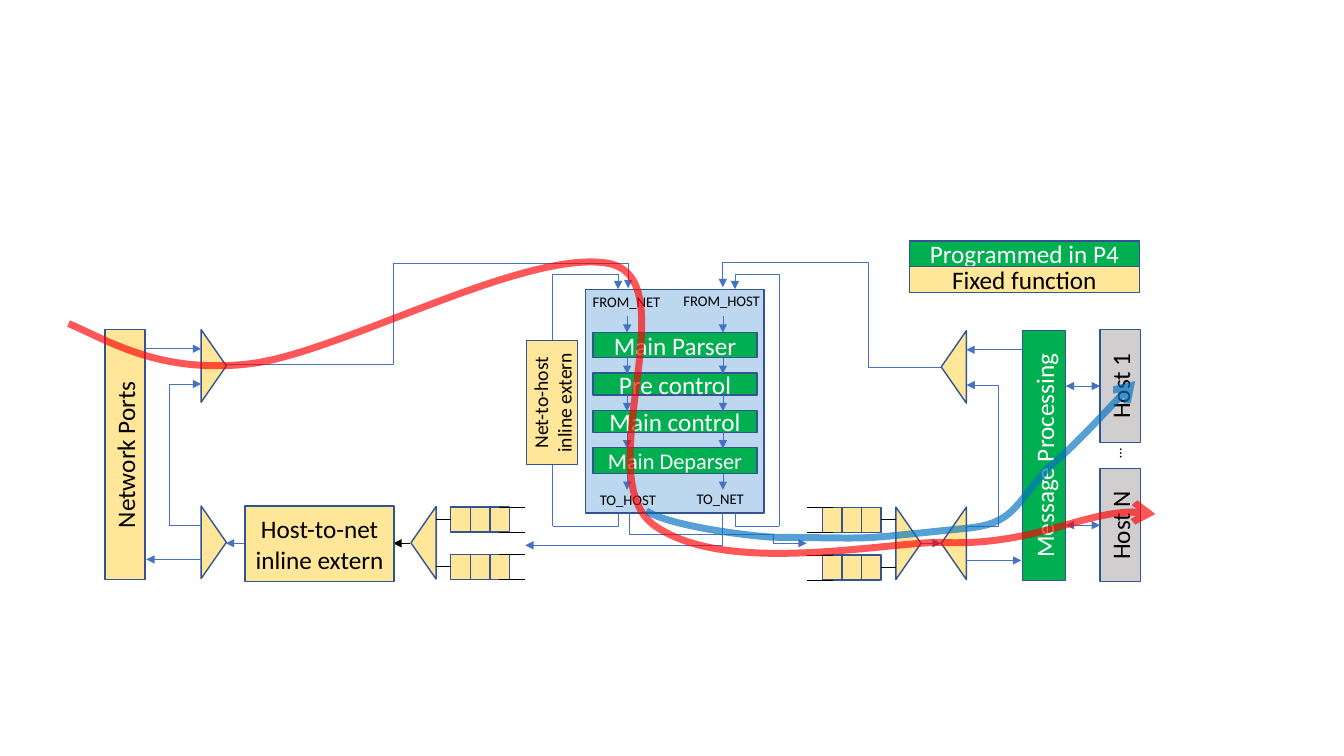
from dataclasses import dataclass

from pptx import Presentation
from pptx.dml.color import RGBColor
from pptx.enum.shapes import MSO_CONNECTOR as CONN, MSO_SHAPE as SHAPE
from pptx.enum.text import MSO_ANCHOR as ANCHOR, MSO_AUTO_SIZE as AUTO, PP_ALIGN as ALIGN
from pptx.oxml.ns import qn
from pptx.oxml.xmlchemy import OxmlElement as new_element
from pptx.util import Inches, Pt

CELL = Inches(0.1)  # grid step: the slide is 133.3 columns by 75 rows
COLORS = {
    "program": "00B050", "fixed": "FFE699", "host": "D0CECE", "core": "BDD7EE",
    "edge": "325491", "wire": "4472C4", "black": "000000", "white": "FFFFFF",
    "net_flow": "FF0000", "local_flow": "0070C0",
}


def color(name):
    """Return a named colour."""
    return RGBColor.from_string(COLORS[name])


def cells(*counts):
    """Turn grid steps into lengths."""
    return [round(n * CELL) for n in counts]


def add_child(parent, tag, **attributes):
    """Append an XML child with the given attributes."""
    child = new_element(tag)
    for key, value in attributes.items():
        child.set(key, str(value))
    parent.append(child)
    return child


def add_arrowheads(part, ends, kind="triangle"):
    """Put arrowheads on the named ends of a line or curve."""
    for end in ends:
        add_child(part.element.spPr.get_or_add_ln(), f"a:{end}End", type=kind)


def write(frame, text, size, ink, align=ALIGN.CENTER):
    """Write one run of text in a text frame."""
    paragraph = frame.paragraphs[0]
    paragraph.alignment = align
    run = paragraph.add_run()
    run.text = text
    run.font.name, run.font.size = "Calibri", Pt(size)
    run.font.color.rgb = color(ink)


@dataclass
class Region:
    """A box on the grid that places parts from its own corner, mirrored if asked."""
    shapes: object
    left: float = 0
    top: float = 0
    width: float = 133.3
    height: float = 75
    mirrored: bool = False

    def spot(self, x, y, w=0):
        """Map a local place to the slide grid."""
        return self.left + (self.width - x - w if self.mirrored else x), self.top + y

    def frame(self, x, y, w, h, turn):
        """Give the unturned frame of a part that covers the given box."""
        x, y = self.spot(x, y, w)
        if turn:
            x, y, w, h = x + (w - h) / 2, y + (h - w) / 2, h, w
        return cells(x, y, w, h)

    def block(self, x, y, w, h, fill, text="", size=18, turn=0, kind=SHAPE.RECTANGLE):
        """Add a filled, outlined block with optional text."""
        part = self.shapes.add_shape(kind, *self.frame(x, y, w, h, turn))
        part.rotation, part.shadow.inherit = turn, False
        part.fill.solid()
        part.fill.fore_color.rgb = color(fill)
        part.line.color.rgb, part.line.width = color("edge"), Pt(1)
        if text:
            part.text_frame.word_wrap = True
            part.text_frame.vertical_anchor = ANCHOR.MIDDLE
            write(part.text_frame, text, size, "white" if fill == "program" else "black")

    def mux(self, x, y, points_right):
        """Add a multiplexer triangle."""
        turn = 90 if points_right != self.mirrored else 270
        self.block(x, y, 2.5, 7.2, "fixed", turn=turn, kind=SHAPE.ISOSCELES_TRIANGLE)

    def label(self, x, y, w, h, text, turn=0):
        """Add a small caption."""
        caption = self.shapes.add_textbox(*self.frame(x, y, w, h, turn))
        caption.rotation = turn
        caption.text_frame.word_wrap = bool(turn)
        caption.text_frame.auto_size = AUTO.SHAPE_TO_FIT_TEXT
        write(caption.text_frame, text, 10.5, "black", ALIGN.CENTER if turn else ALIGN.LEFT)

    def wire(self, start, end, ends=(), ink="wire", kind=CONN.STRAIGHT):
        """Join two places with a thin line."""
        wire = self.shapes.add_connector(
            kind, *cells(*self.spot(*start), *self.spot(*end)))
        wire.line.color.rgb, wire.line.width = color(ink), Pt(0.5)
        add_arrowheads(wire, ends)
        add_child(wire.element.spPr, "a:effectLst")
        return wire

    def elbow(self, start, end, ends=(), bend=None):
        """Join two places, leaving sideways and arriving upright; bend adds a step."""
        wire = self.wire(start, end, ends, kind=CONN.ELBOW)
        shape = wire.element.spPr.find(qn("a:prstGeom"))
        shape.set("prst", "bentConnector4" if bend else "bentConnector2")
        if bend:
            for i in (0, 1):
                share = (bend[i] - start[i]) / (end[i] - start[i])
                add_child(shape.find(qn("a:avLst")), "a:gd", name=f"adj{i + 1}",
                          fmla=f"val {round(share * 100000)}")

    def flow(self, points, ink):
        """Draw a wide translucent curve through Bezier points, ending in an arrow."""
        places = [cells(*self.spot(*point)) for point in points]
        builder = self.shapes.build_freeform(*places[0], scale=1.0)
        builder.add_line_segments(places[1:], close=False)
        curve = builder.convert_to_shape()
        curve.shadow.inherit = False
        curve.fill.background()
        curve.line.color.rgb, curve.line.width = color(ink), Pt(5)
        shade = next(curve.element.spPr.get_or_add_ln().iter(qn("a:srgbClr")))
        add_child(shade, "a:alpha", val=65000)
        add_arrowheads(curve, ["tail"], "arrow")
        outline = next(curve.element.iter(qn("a:path")))
        steps = outline.findall(qn("a:lnTo"))
        for i in range(0, len(steps), 3):
            bezier = add_child(outline, "a:cubicBezTo")
            for step in steps[i:i + 3]:
                bezier.append(step[0])
                outline.remove(step)


def draw_port_side(side, text, fill):
    """Draw a port column, its two multiplexers and the loop between them."""
    gate = side.width - 2.5
    port, loop = gate - 5.55, gate - 3.2
    side.block(0, 0, port, 24.8, fill, text, turn=270)
    for y in (0, 17.5):
        side.mux(gate, y, True)
    side.wire((port, 1.9), (gate, 1.9), ["tail"])
    side.wire((gate, 22.8), (port + 0.1, 22.8), ["tail"])
    side.elbow((gate, 19.4), (loop, 11.5))
    side.elbow((gate, 5.4), (loop, 11.5), ["head"])


def draw_queues(side):
    """Draw two three-slot queues joined to a multiplexer."""
    slot = 1.95
    side.mux(0, 0, False)
    for y in (0.05, 4.75):
        for i in range(3):
            side.block(3.95 + i * slot, y, slot, 2.5, "fixed")
        for edge in (y, y + 2.5):
            side.wire((8.75, edge), (11.35, edge), ink="black")
        side.wire((3.95, y + 1.2), (2.45, y + 1.2), ink="black")


def draw_core(core):
    """Draw the programmable pipeline with its two lanes."""
    core.block(0, 0, core.width, core.height, "core")
    stages = [("Main Parser", 4.3, 2.5, 18), ("Pre control", 8.3, 2.2, 18),
              ("Main control", 12, 2.2, 18), ("Main Deparser", 15.7, 2.6, 16)]
    for text, y, h, size in stages:
        core.block(0.7, y, 16.3, h, "program", text, size)
    for lane in (4.1, 13.6):
        for y in [2.7] + [y + h for _, y, h, _ in stages]:
            core.wire((lane, y), (lane, y + 1.6), ["tail"])
    for text, x, y, w in [("FROM_NET", -0.3, -0.1, 8.9), ("FROM_HOST", 8.7, -0.2, 9.8),
                          ("TO_HOST", 0.4, 19.5, 7.8), ("TO_NET", 10, 19.4, 6.8)]:
        core.label(x, y, w, 2.8, text)


def draw_bypasses(core):
    """Draw the loops from the pipeline's exits back to its entries."""
    for outer, inner in [(-3.3, 3.2), (19.2, 14.8)]:
        core.elbow((outer, 23.5), (inner, core.height))
        core.elbow((outer, -1.5), (inner, 0), ["tail"])
        core.wire((outer, 23.5), (outer, -1.5))
    core.block(-5.9, 5.1, 5.1, 12.3, "fixed", "Net-to-host inline extern", 14, 270)


def draw_hosts(hosts):
    """Draw the host column with its two-way links."""
    for text, y in [("Host 1", 0), ("Host N", 13.8)]:
        hosts.block(3.4, y, 4, 11.2, "host", text, turn=270)
        hosts.wire((0, y + 5.6), (3.4, y + 5.6), ["head", "tail"])
    hosts.label(3.6, 11.2, 2.8, 2.6, "…", 270)


def draw_legend(legend):
    """Draw the colour key."""
    row = legend.height / 2
    for i, (text, fill) in enumerate([("Programmed in P4", "program"),
                                      ("Fixed function", "fixed")]):
        legend.block(0, i * row, legend.width, row, fill, text)


def draw_links(field):
    """Wire the regions together."""
    field.elbow((22.4, 36.2), (62.3, 28.6), ["tail"], bend=(39, 26.1))
    field.elbow((93.3, 36.4), (71.7, 28.5), ["tail"], bend=(86.1, 26))
    field.elbow((52.1, 54.1), (71.6, 50.9), ["head"])
    field.elbow((76.7, 53), (62.4, 50.9))
    field.wire((76.7, 53), (76.7, 53.9))
    for start, end, ink in [(76.7, 80, "wire"), (91.4, 93.3, "wire"),
                            (24.3, 22.4, "wire"), (40.7, 39, "black")]:
        field.wire((start, 53.9), (end, 53.9), ["tail"], ink)
    field.block(24.3, 50.2, 14.8, 7.5, "fixed", "Host-to-net inline extern")


def draw_flows(field):
    """Draw the two message paths over the diagram."""
    field.flow([(6.8, 32.1), (10.8, 33.8), (15.8, 37.1), (24.7, 36.1),
                (33.6, 35.1), (51.7, 24.8), (60.2, 26.1),
                (68.6, 27.5), (58.1, 47.5), (65, 52.2),
                (71.8, 56.9), (86, 54.1), (92.9, 53.8),
                (102.2, 54.3), (108.8, 49.8), (114.6, 51)], "net_flow")
    field.flow([(64.1, 50.7), (66.2, 52), (72.5, 53), (76.6, 53.3),
                (88.3, 53.4), (83.8, 53.6), (96, 52.4),
                (100.6, 51.9), (100.6, 50.1), (103.9, 46.5),
                (106.7, 44.1), (110.8, 39.6), (112.6, 37.8)], "local_flow")


deck = Presentation()
deck.slide_width, deck.slide_height = cells(133.3, 75)
shapes = deck.slides.add_slide(deck.slide_layouts[6]).shapes
whole = Region(shapes)
core = Region(shapes, 58.1, 28.7, 17.7, 22.2)
draw_port_side(Region(shapes, 10.4, 32.7, 12.05, 24.8), "Network Ports", "fixed")
draw_port_side(Region(shapes, 93.35, 32.8, 12.35, 24.8, True), "Message Processing", "program")
draw_queues(Region(shapes, 40.75, 50.25, 11.35, 7.2))
draw_queues(Region(shapes, 80, 50.3, 11.35, 7.2, True))
draw_hosts(Region(shapes, 105.7, 32.7, 7.4, 25))
draw_legend(Region(shapes, 90.2, 23.9, 22.8, 5.1))
draw_core(core)
draw_links(whole)
draw_bypasses(core)
draw_flows(whole)
deck.save("out.pptx")
